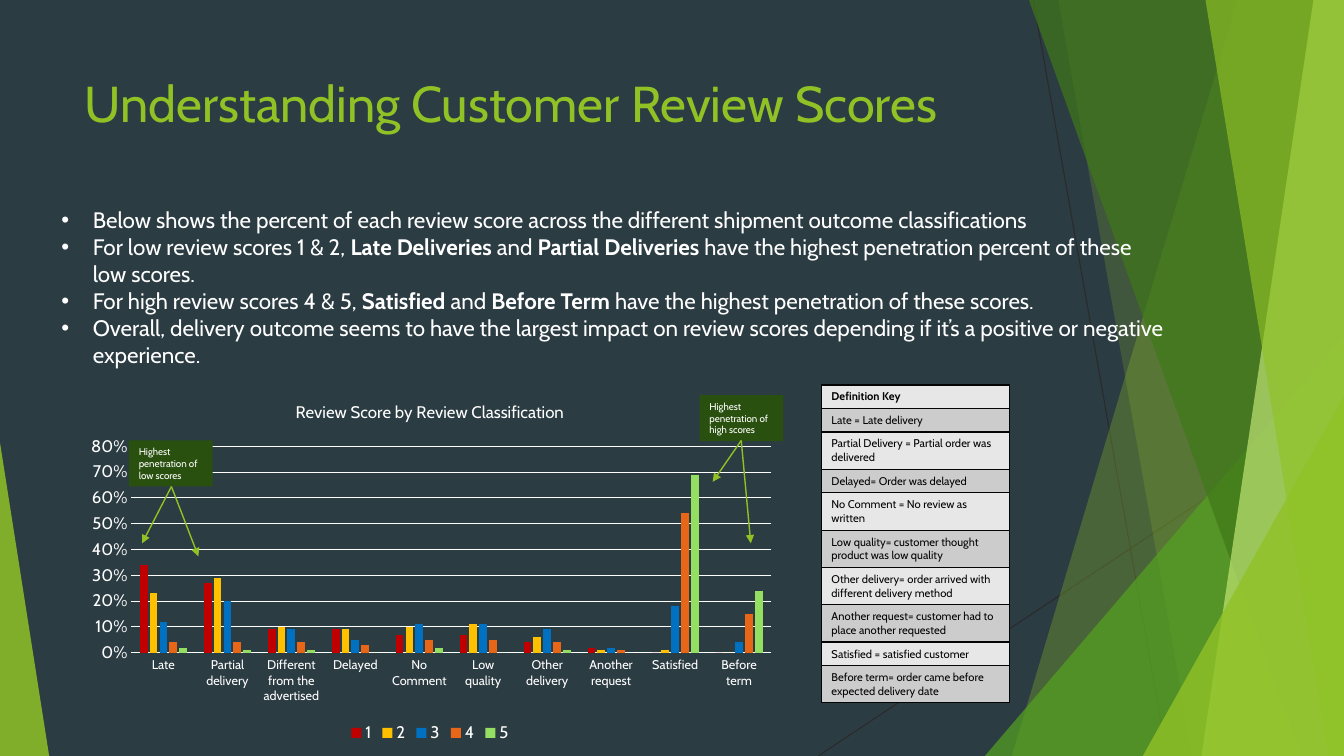
from lxml import etree
from pptx import Presentation
from pptx.chart.data import CategoryChartData
from pptx.dml.color import RGBColor
from pptx.enum.chart import XL_CHART_TYPE as ChartType, XL_LEGEND_POSITION as LegendPosition
from pptx.enum.chart import XL_TICK_MARK as TickMark
from pptx.enum.shapes import MSO_CONNECTOR as Connector, MSO_SHAPE as Shape
from pptx.enum.text import MSO_ANCHOR as Anchor, PP_ALIGN as Align
from pptx.oxml.ns import qn
from pptx.util import Cm, Pt

COLORS = {
    "background": "2C3C43", "lime": "90C226", "leaf": "54A021", "forest": "3F7819",
    "pale": "C0E474", "hairline": "2A2A2A", "white": "FFFFFF", "ink": "040404",
    "callout": "2A5010", "row_light": "E7E7E7", "row_dark": "CCCCCC",
    "1": "C00000", "2": "FFC000", "3": "0070C0", "4": "E76618", "5": "94DE61",
}
RGB = {name: RGBColor.from_string(value) for name, value in COLORS.items()}
WIDTH, HEIGHT = 33.87, 19.05


def write(frame, lines, size, color):
    frame.word_wrap = True
    for index, line in enumerate(lines):
        paragraph = frame.paragraphs[0] if index == 0 else frame.add_paragraph()
        paragraph.alignment = Align.LEFT
        for part, text in enumerate(line.split("*")):
            if not text:
                continue
            run = paragraph.add_run()
            run.text = text
            run.font.color.rgb = RGB[color]
            for name, value in {"name": "Cabin", "size": Pt(size), "bold": part % 2 == 1}.items():
                setattr(run.font, name, value)


def connect(start, end, color, width, arrow=False):
    connector = slide.shapes.add_connector(Connector.STRAIGHT, *[Cm(v) for v in (*start, *end)])
    connector.line.color.rgb = RGB[color]
    connector.line.width = Pt(width)
    if arrow:
        outline = connector.element.spPr.find(qn("a:ln"))
        etree.SubElement(outline, qn("a:tailEnd"), type="triangle")
    etree.SubElement(connector.element.spPr, qn("a:effectLst"))


presentation = Presentation()
presentation.slide_width, presentation.slide_height = Cm(WIDTH), Cm(HEIGHT)
slide = presentation.slides.add_slide(presentation.slide_layouts[6])
slide.background.fill.solid()
slide.background.fill.fore_color.rgb = RGB["background"]

connect((26.04, 0), (29.41, HEIGHT), "hairline", 0.75)
connect((WIDTH, 10.24), (20.62, HEIGHT), "hairline", 0.75)

facets = [
    ("band", 31.19, 25.5, "lime", 30),
    ("band", 26.67, 30.05, "lime", 20),
    ("right", 24.82, 8.46, "leaf", 72),
    ("band", 25.93, 32.79, "forest", 70),
    ("band", 33.1, 30.28, "pale", 70),
    ("band", 30.38, 33.48, "lime", 65),
    ("right", 28.8, 9.98, "lime", 80),
    ("left", 1.24, 11.15, "lime", 85),
]
for kind, first, second, color, opacity in facets:
    if kind == "band":
        builder = slide.shapes.build_freeform(Cm(first), 0)
        corners = [(WIDTH, 0), (WIDTH, HEIGHT), (second, HEIGHT)]
        builder.add_line_segments([(Cm(x), Cm(y)) for x, y in corners], close=True)
        facet = builder.convert_to_shape()
    else:
        left, right = (first, WIDTH) if kind == "right" else (0, first)
        facet = slide.shapes.add_shape(Shape.ISOSCELES_TRIANGLE, Cm(left), Cm(second),
                                       Cm(right - left), Cm(HEIGHT - second))
        facet.adjustments[0] = 1 if kind == "right" else 0
    facet.shadow.inherit = False
    facet.fill.solid()
    facet.fill.fore_color.rgb = RGB[color]
    fill_color = facet.element.spPr.find(".//" + qn("a:srgbClr"))
    etree.SubElement(fill_color, qn("a:alpha"), val=str(opacity * 1000))
    facet.line.fill.background()

title = slide.shapes.add_textbox(Cm(1.88), Cm(1.7), Cm(29.44), Cm(3.66))
write(title.text_frame, ["Understanding Customer Review Scores"], 36, "lime")

categories = ["Late", "Partial delivery", "Different from the advertised", "Delayed", "No Comment",
              "Low quality", "Other delivery", "Another request", "Satisfied", "Before term"]
scores = {
    "1": [0.34, 0.27, 0.09, 0.09, 0.07, 0.07, 0.04, 0.02, 0, 0],
    "2": [0.23, 0.29, 0.1, 0.09, 0.1, 0.11, 0.06, 0.01, 0.01, 0],
    "3": [0.12, 0.2, 0.09, 0.05, 0.11, 0.11, 0.09, 0.02, 0.18, 0.04],
    "4": [0.04, 0.04, 0.04, 0.03, 0.05, 0.05, 0.04, 0.01, 0.54, 0.15],
    "5": [0.02, 0.01, 0.01, 0, 0.02, 0, 0.01, 0, 0.69, 0.24],
}
chart_data = CategoryChartData(number_format="0%")
chart_data.categories = categories
for score, values in scores.items():
    chart_data.add_series(score, values)
chart = slide.shapes.add_chart(ChartType.COLUMN_CLUSTERED, Cm(1.88), Cm(9.7),
                               Cm(17.91), Cm(9.12), chart_data).chart
chart.has_title = True
chart_heading = chart.chart_title.text_frame
write(chart_heading, ["Review Score by Review Classification"], 12, "white")
chart_heading.paragraphs[0].alignment = Align.CENTER
chart.has_legend = True
chart.legend.position = LegendPosition.BOTTOM
chart.legend.include_in_layout = False

category_axis, value_axis = chart.category_axis, chart.value_axis
for font, size in [(chart.font, 10), (chart.legend.font, 12),
                   (category_axis.tick_labels.font, 9), (value_axis.tick_labels.font, 12)]:
    font.name, font.size, font.color.rgb = "Cabin", Pt(size), RGB["white"]
for axis in (category_axis, value_axis):
    axis.major_tick_mark = axis.minor_tick_mark = TickMark.NONE
for line in (category_axis.format.line, value_axis.major_gridlines.format.line):
    line.color.rgb = RGB["white"]
    line.width = Pt(0.75)
value_axis.format.line.fill.background()
axis_format = {"minimum_scale": 0, "maximum_scale": 0.8, "major_unit": 0.1}
for name, value in axis_format.items():
    setattr(value_axis, name, value)
value_axis.tick_labels.number_format = "0%"
value_axis.tick_labels.number_format_is_linked = False

plot = chart.plots[0]
for name, value in {"gap_width": 219, "overlap": -27, "vary_by_categories": False}.items():
    setattr(plot, name, value)
for series in plot.series:
    series.format.fill.solid()
    series.format.fill.fore_color.rgb = RGB[series.name]

plot_area = chart.element.find(".//" + qn("c:plotArea")) if hasattr(chart, "element") else \
    chart._chartSpace.find(".//" + qn("c:plotArea"))
for layout in plot_area.findall(qn("c:layout")):
    plot_area.remove(layout)
layout = etree.Element(qn("c:layout"))
plot_area.insert(0, layout)
manual = etree.SubElement(layout, qn("c:manualLayout"))
for tag, value in [("layoutTarget", "inner"), ("xMode", "edge"), ("yMode", "edge"),
                   ("x", "0.08"), ("y", "0.17"), ("w", "0.9"), ("h", "0.57")]:
    etree.SubElement(manual, qn("c:" + tag), val=value)

findings = slide.shapes.add_textbox(Cm(1.3), Cm(5.08), Cm(28.37), Cm(4.37))
write(findings.text_frame, [
    "Below shows the percent of each review score across the different shipment outcome classifications",
    "For low review scores 1 & 2, *Late Deliveries *and *Partial Deliveries *have the highest "
    "penetration percent of these low scores.",
    "For high review scores 4 & 5,* Satisfied *and *Before Term *have the highest penetration of these scores.",
    "Overall, delivery outcome seems to have the largest impact on review scores depending if "
    "it’s a positive or negative experience.",
], 16, "white")
for paragraph in findings.text_frame.paragraphs:
    properties = paragraph._p.get_or_add_pPr()
    properties.set("marL", str(Cm(0.79)))
    properties.set("indent", str(-Cm(0.79)))
    etree.SubElement(properties, qn("a:buFont"), typeface="Arial")
    etree.SubElement(properties, qn("a:buChar"), char="•")

definitions = [
    "*Definition Key", "Late = Late delivery", "Partial Delivery = Partial order was delivered",
    "Delayed= Order was delayed", "No Comment = No review as written",
    "Low quality= customer thought product was low quality",
    "Other delivery= order arrived with different delivery method",
    "Another request= customer had to place another requested",
    "Satisfied = satisfied customer", "Before term= order came before expected delivery date",
]
heights = [0.94 if len(text) > 30 else 0.59 for text in definitions]
table = slide.shapes.add_table(len(definitions), 1, Cm(20.7), Cm(9.7),
                               Cm(4.75), Cm(sum(heights))).table
for index, (text, height) in enumerate(zip(definitions, heights)):
    table.rows[index].height = Cm(height)
    cell = table.cell(index, 0)
    write(cell.text_frame, [text], 8, "ink")
    cell_properties = cell._tc.get_or_add_tcPr()
    for side in ("lnL", "lnR", "lnT", "lnB"):
        border = etree.SubElement(cell_properties, qn("a:" + side), w=str(Pt(1)))
        border_fill = etree.SubElement(border, qn("a:solidFill"))
        etree.SubElement(border_fill, qn("a:srgbClr"), val=COLORS["ink"])
    cell.fill.solid()
    cell.fill.fore_color.rgb = RGB["row_dark" if index % 2 else "row_light"]

for left, top, level in [(17.63, 9.96, "high"), (3.25, 11.1, "low")]:
    callout = slide.shapes.add_shape(Shape.RECTANGLE, Cm(left), Cm(top), Cm(2.11), Cm(1.16))
    callout.shadow.inherit = False
    callout.fill.solid()
    callout.fill.fore_color.rgb = RGB["callout"]
    callout.line.fill.background()
    callout.text_frame.vertical_anchor = Anchor.MIDDLE
    write(callout.text_frame, [f"Highest penetration of {level} scores"], 7, "white")

for start, end in [((4.32, 12.26), (3.58, 13.69)), ((4.32, 12.26), (5, 14.02)),
                   ((18.68, 11.1), (17.96, 12.14)), ((18.68, 11.1), (18.92, 13.69))]:
    connect(start, end, "lime", 1, arrow=True)

presentation.save("out.pptx")
